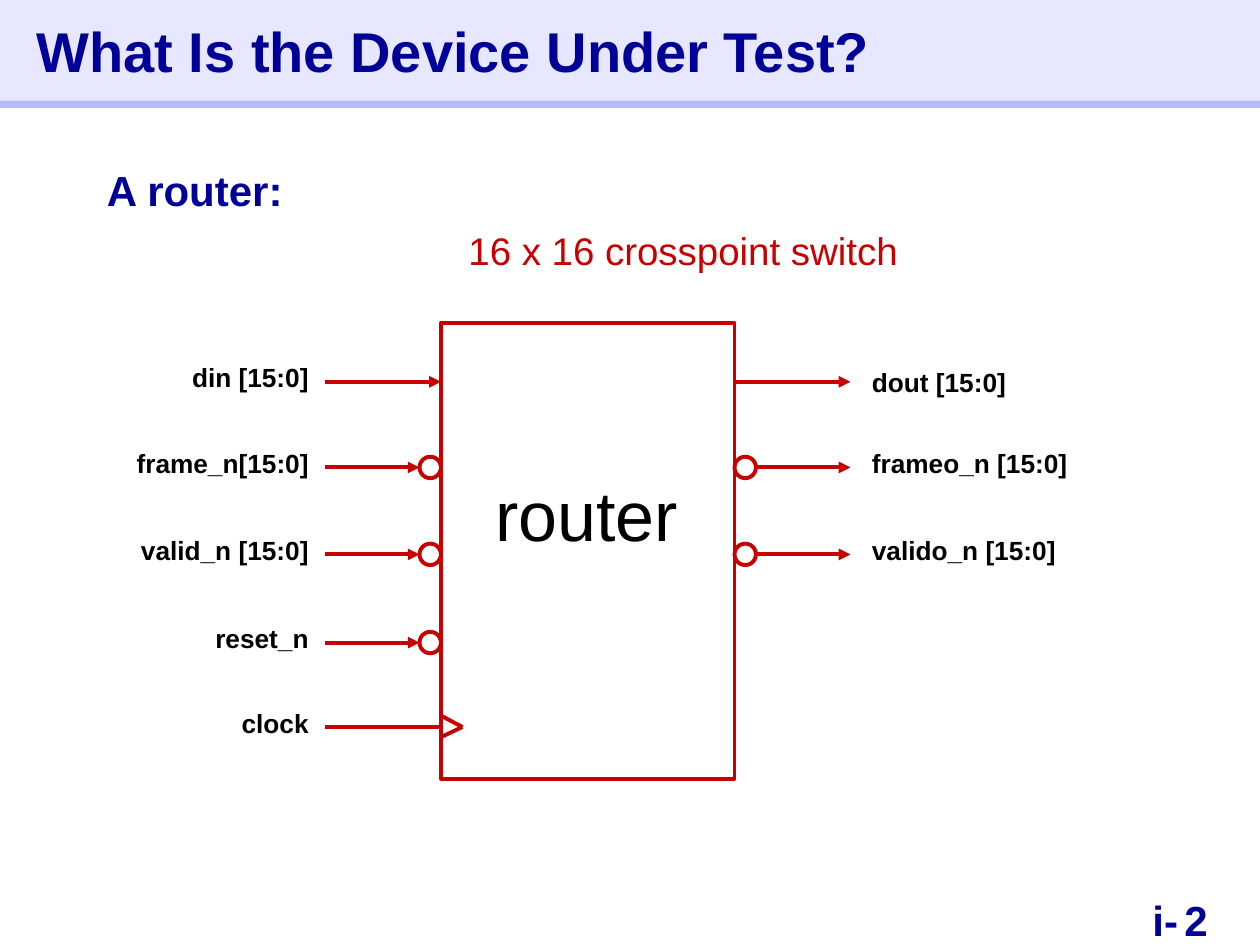
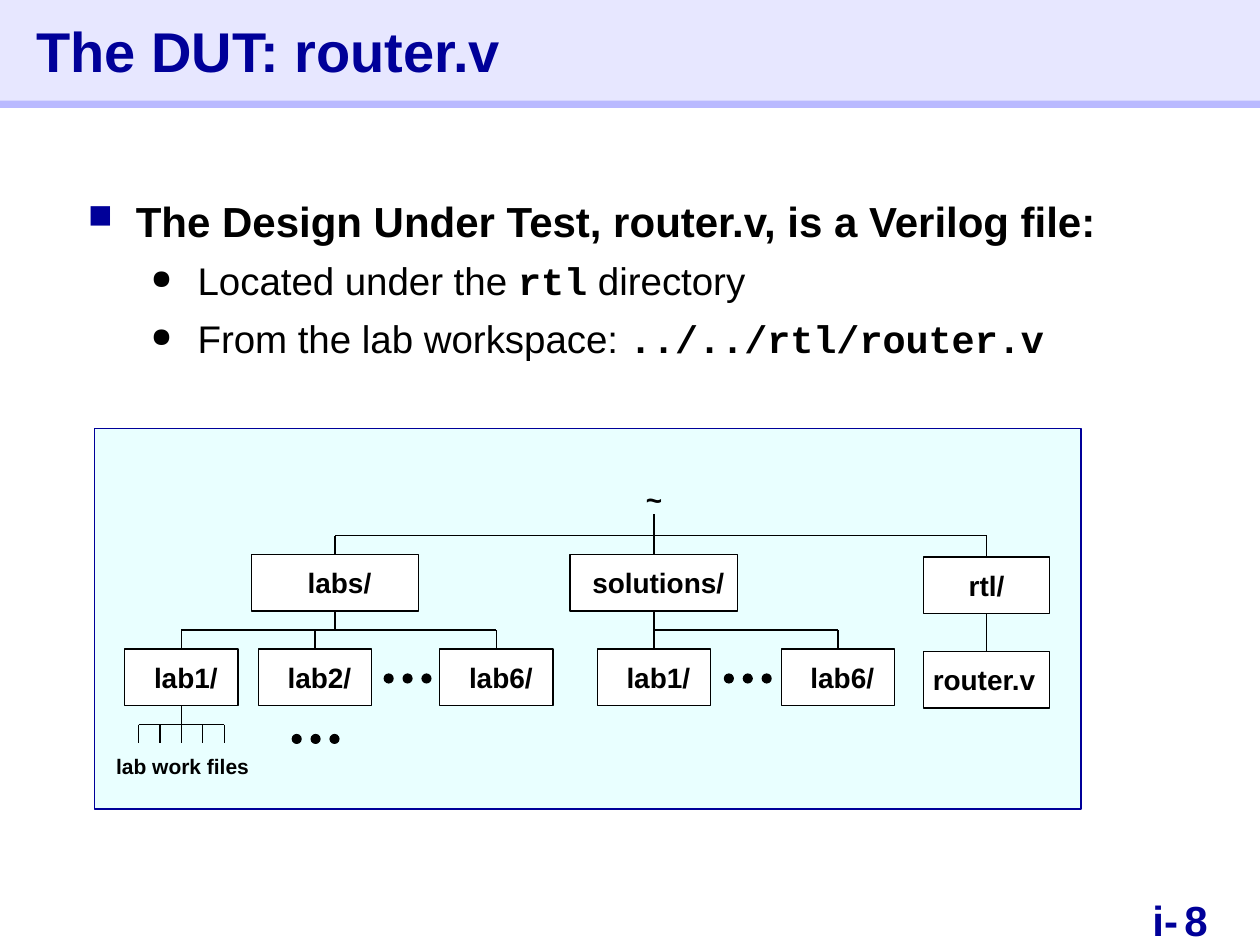
from dataclasses import dataclass

from lxml.etree import SubElement
from pptx import Presentation
from pptx.dml.color import RGBColor
from pptx.enum.shapes import MSO_CONNECTOR, MSO_SHAPE
from pptx.enum.text import MSO_ANCHOR, PP_ALIGN as Align
from pptx.oxml.ns import qn
from pptx.util import Inches, Pt


@dataclass(frozen=True)
class Theme:
    navy: str = "000099"
    band: str = "E7E7FF"
    rule: str = "B9B9FF"
    red: str = "C80000"
    black: str = "000000"
    white: str = "FFFFFF"
    pane: str = "E9FFFF"
    sans: str = "Arial"
    mono: str = "Courier New"
    title: int = 32
    head: int = 24
    detail: int = 22
    block: int = 40
    signal: int = 15
    node: int = 16
    note: int = 12
    thick: float = 2.25
    thin: float = 0.75


THEME = Theme()


def rgb(code):
    return RGBColor.from_string(code)


def style(font, size, color=THEME.black, bold=True, face=THEME.sans):
    font.name, font.size, font.bold = face, Pt(size), bold
    font.color.rgb = rgb(color)


def set_insets(frame, left=0):
    frame.margin_left = Inches(left)
    frame.margin_top = frame.margin_right = frame.margin_bottom = 0


def add_label(slide, text, left, top, width, size, color=THEME.black,
              bold=True, align=Align.LEFT):
    label = slide.shapes.add_textbox(Inches(left), Inches(top),
                                     Inches(width), Inches(size / 60))
    frame = label.text_frame
    frame.word_wrap = True
    set_insets(frame)
    paragraph = frame.paragraphs[0]
    paragraph.text, paragraph.alignment = text, align
    style(paragraph.font, size, color, bold)


def add_block(slide, left, top, width, height, fill, line=None,
              weight=THEME.thin, kind=MSO_SHAPE.RECTANGLE):
    block = slide.shapes.add_shape(kind, Inches(left), Inches(top),
                                   Inches(width), Inches(height))
    block.shadow.inherit = False
    block.fill.solid()
    block.fill.fore_color.rgb = rgb(fill)
    if line:
        block.line.color.rgb = rgb(line)
        block.line.width = Pt(weight)
    else:
        block.line.fill.background()
    return block


def add_line(slide, start, end, color=THEME.black, weight=THEME.thin, arrow=False):
    ends = [Inches(value) for value in (*start, *end)]
    line = slide.shapes.add_connector(MSO_CONNECTOR.STRAIGHT, *ends)
    line.line.color.rgb = rgb(color)
    line.line.width = Pt(weight)
    if arrow:
        SubElement(line.line._get_or_add_ln(), qn("a:tailEnd"), type="triangle")
    SubElement(line._element.spPr, qn("a:effectLst"))
    return line


def add_body(slide, left, top, width, height):
    body = slide.shapes.add_textbox(Inches(left), Inches(top),
                                    Inches(width), Inches(height))
    body.text_frame.word_wrap = True
    return body.text_frame


def indent(paragraph, margin, first=0.0):
    properties = paragraph._p.get_or_add_pPr()
    properties.set("marL", str(Inches(margin)))
    properties.set("indent", str(Inches(first)))
    return properties


def add_bullet(paragraph, margin, first, mark, color, percent):
    properties = indent(paragraph, margin, first)
    tint = SubElement(properties, qn("a:buClr"))
    SubElement(tint, qn("a:srgbClr"), val=color)
    SubElement(properties, qn("a:buSzPct"), val=str(percent * 1000))
    SubElement(properties, qn("a:buChar"), char=mark)


def space_detail(paragraph):
    paragraph.line_spacing = 0.9
    paragraph.space_before = Pt(9.6)


def start_slide(deck, title, number):
    slide = deck.slides.add_slide(deck.slide_layouts[6])
    add_label(slide, number, 9.4, 7.1, 0.6, THEME.head, THEME.navy)
    add_label(slide, "i-", 8.55, 7.1, 0.8, THEME.head, THEME.navy, align=Align.RIGHT)
    add_line(slide, (0, 0.82), (10, 0.82), THEME.rule, 5)
    band = add_block(slide, 0, 0, 10, 0.8, THEME.band)
    frame = band.text_frame
    frame.vertical_anchor = MSO_ANCHOR.MIDDLE
    set_insets(frame, 0.29)
    heading = frame.paragraphs[0]
    heading.text, heading.alignment = title, Align.LEFT
    style(heading.font, THEME.title, THEME.navy)
    return slide


BUBBLE = 0.17
ROUTER_LEFT, ROUTER_RIGHT = 3.5, 5.83


def add_wire(slide, start, end, arrow=True):
    add_line(slide, start, end, THEME.red, THEME.thick, arrow)


def add_bubble(slide, left, wire_y):
    add_block(slide, left, wire_y - BUBBLE / 2, BUBBLE, BUBBLE, THEME.white,
              THEME.red, THEME.thick, MSO_SHAPE.OVAL)


def add_input(slide, name, wire_y, inverted=False, arrow=True):
    add_label(slide, name, 0.95, wire_y - 0.16, 1.5, THEME.signal, align=Align.RIGHT)
    tip = ROUTER_LEFT - BUBBLE * inverted
    add_wire(slide, (2.58, wire_y), (tip, wire_y), arrow)
    if inverted:
        add_bubble(slide, tip, wire_y)


def add_output(slide, name, label_y, wire_y, inverted=False):
    add_label(slide, name, 6.92, label_y, 1.7, THEME.signal)
    add_wire(slide, (ROUTER_RIGHT + BUBBLE * inverted, wire_y), (6.75, wire_y))
    if inverted:
        add_bubble(slide, ROUTER_RIGHT, wire_y)


def build_device_slide(deck):
    slide = start_slide(deck, "What Is the Device Under Test?", "2")
    body = add_body(slide, 0.75, 1.26, 8.5, 1.2)
    lead = body.paragraphs[0]
    lead.text, lead.space_before = "A router:", Pt(15)
    style(lead.font, THEME.head, THEME.navy)
    kind = body.add_paragraph()
    kind.text = "16 x 16 crosspoint switch"
    indent(kind, 2.87)
    space_detail(kind)
    style(kind.font, THEME.detail, THEME.red, False)

    add_block(slide, ROUTER_LEFT, 2.56, ROUTER_RIGHT - ROUTER_LEFT, 3.62,
              THEME.white, THEME.red, THEME.thick)
    add_label(slide, "router", 3.73, 3.74, 1.85, THEME.block, bold=False,
              align=Align.CENTER)

    add_input(slide, "din [15:0]", 3.03)
    for name, wire_y in (("frame_n[15:0]", 3.71), ("valid_n [15:0]", 4.4),
                         ("reset_n", 5.1)):
        add_input(slide, name, wire_y, inverted=True)
    clock_y = 5.77
    add_input(slide, "clock", clock_y, arrow=False)
    for offset in (-0.09, 0.08):
        add_wire(slide, (ROUTER_LEFT, clock_y + offset),
                 (ROUTER_LEFT + BUBBLE, clock_y), arrow=False)

    add_output(slide, "dout [15:0]", 2.91, 3.03)
    add_output(slide, "frameo_n [15:0]", 3.55, 3.71, inverted=True)
    add_output(slide, "valido_n [15:0]", 4.24, 4.4, inverted=True)


def add_node(slide, name, center, top, width, nudge=0.07):
    node = add_block(slide, center - width / 2, top, width, 0.45,
                     THEME.white, THEME.black)
    frame = node.text_frame
    frame.word_wrap = False
    frame.vertical_anchor = MSO_ANCHOR.MIDDLE
    set_insets(frame, nudge)
    paragraph = frame.paragraphs[0]
    paragraph.text, paragraph.alignment = name, Align.CENTER
    style(paragraph.font, THEME.node)
    return node


def add_branch(slide, bus_y, children, parent=None):
    centers = [(child.left + child.width / 2) / Inches(1) for child in children]
    add_line(slide, (centers[0], bus_y), (centers[-1], bus_y))
    for center, child in zip(centers, children):
        drop = add_line(slide, (center, bus_y), (center, bus_y + 0.15))
        drop.end_connect(child, 0)
    if parent:
        center = (parent.left + parent.width / 2) / Inches(1)
        stem = add_line(slide, (center, bus_y - 0.15), (center, bus_y))
        stem.begin_connect(parent, 2)


def add_dots(slide, left, top):
    for step in range(3):
        add_block(slide, left + 0.15 * step, top, 0.07, 0.07, THEME.black,
                  THEME.black, kind=MSO_SHAPE.OVAL)


def add_work_files(slide, lab):
    bus_y, center, pitch = 5.75, 1.44, 0.17
    ticks = [center + pitch * step for step in range(-2, 3)]
    stem = add_line(slide, (center, 5.6), (center, bus_y))
    stem.begin_connect(lab, 2)
    add_line(slide, (ticks[0], bus_y), (ticks[-1], bus_y))
    for tick in ticks:
        add_line(slide, (tick, bus_y), (tick, bus_y + 0.15))
    add_label(slide, "lab work files", 0.8, 5.98, 1.3, THEME.note, align=Align.CENTER)


def build_file_slide(deck):
    slide = start_slide(deck, "The DUT: router.v", "8")
    body = add_body(slide, 0.6, 1.5, 8.74, 1.6)
    lead = body.paragraphs[0]
    lead.text = "The Design Under Test, router.v, is a Verilog file:"
    add_bullet(lead, 0.38, -0.38, "■", THEME.navy, 80)
    lead.space_before = Pt(15)
    style(lead.font, THEME.head)
    for pieces in (("Located under the ", "rtl", " directory"),
                   ("From the lab workspace: ", "../../rtl/router.v")):
        detail = body.add_paragraph()
        add_bullet(detail, 0.87, -0.37, "●", THEME.black, 70)
        space_detail(detail)
        for position, piece in enumerate(pieces):
            run = detail.add_run()
            run.text = piece
            is_code = position == 1
            style(run.font, THEME.detail, bold=is_code,
                  face=THEME.mono if is_code else THEME.sans)

    add_block(slide, 0.75, 3.4, 7.83, 3.02, THEME.pane, THEME.navy)
    root_x = 5.19
    add_label(slide, "~", root_x - 0.3, 3.83, 0.6, THEME.node, align=Align.CENTER)
    labs = add_node(slide, "labs/", 2.66, 4.4, 1.33)
    solutions = add_node(slide, "solutions/", root_x, 4.4, 1.33)
    rtl = add_node(slide, "rtl/", 7.83, 4.42, 1, 0)
    add_line(slide, (root_x, 4.08), (root_x, 4.25))
    add_branch(slide, 4.25, [labs, solutions, rtl])

    lab_nodes = [add_node(slide, name, center, 5.15, 0.9)
                 for name, center in (("lab1/", 1.44), ("lab2/", 2.5), ("lab6/", 3.94))]
    solution_nodes = [add_node(slide, name, center, 5.15, 0.9)
                      for name, center in (("lab1/", root_x), ("lab6/", 6.65))]
    add_branch(slide, 5, lab_nodes, labs)
    add_branch(slide, 5, solution_nodes, solutions)
    source = add_node(slide, "router.v", 7.83, 5.17, 1, -0.04)
    link = add_line(slide, (7.83, 4.87), (7.83, 5.17))
    link.begin_connect(rtl, 2)
    link.end_connect(source, 0)

    add_work_files(slide, lab_nodes[0])
    for left, top in ((3.05, 5.35), (5.75, 5.35), (2.32, 5.83)):
        add_dots(slide, left, top)


def main():
    deck = Presentation()
    deck.slide_width, deck.slide_height = Inches(10), Inches(7.5)
    build_device_slide(deck)
    build_file_slide(deck)
    deck.save("out.pptx")


if __name__ == "__main__":
    main()
